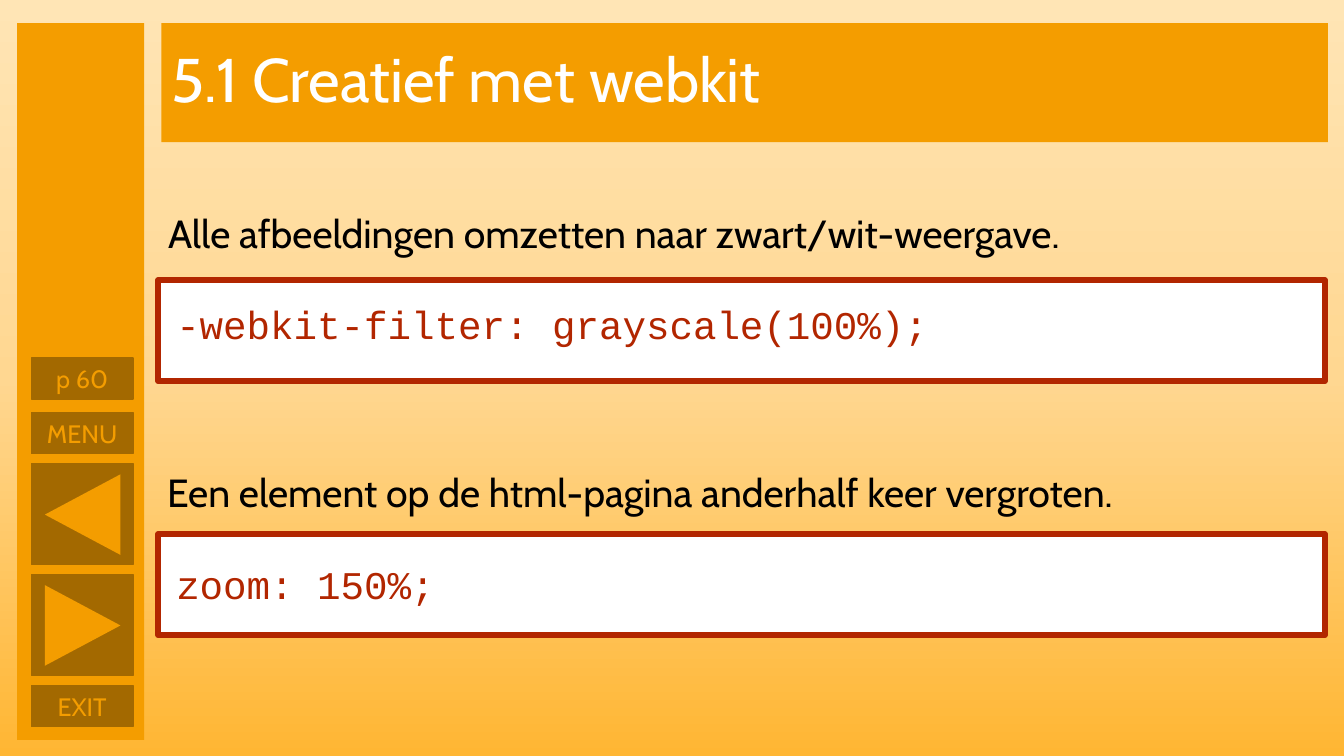
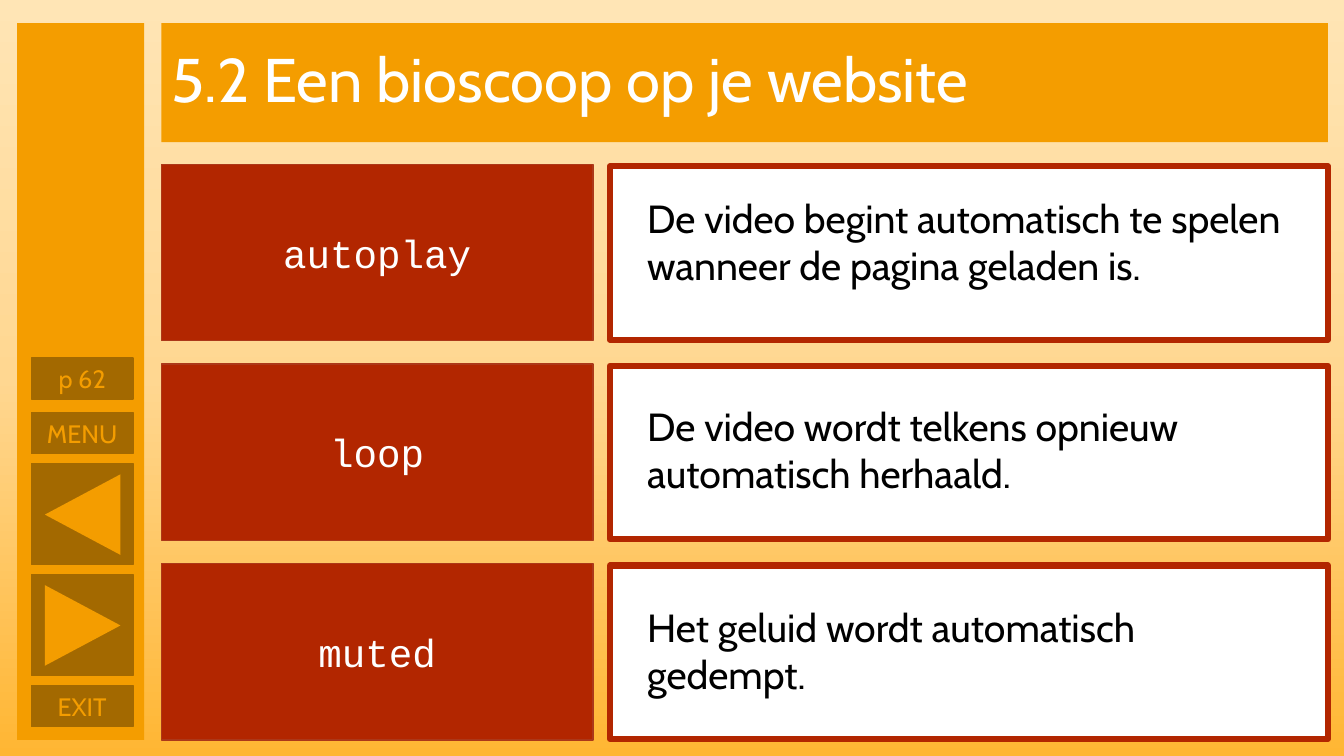
from copy import deepcopy

from pptx import Presentation
from pptx.dml.color import RGBColor
from pptx.enum.shapes import MSO_SHAPE
from pptx.enum.text import MSO_ANCHOR, MSO_AUTO_SIZE, PP_ALIGN
from pptx.util import Pt

RECTANGLE = MSO_SHAPE.RECTANGLE
TRIANGLE = MSO_SHAPE.ISOSCELES_TRIANGLE
MIDDLE = MSO_ANCHOR.MIDDLE
LEFT = PP_ALIGN.LEFT
CENTER = PP_ALIGN.CENTER
NO_FIT = MSO_AUTO_SIZE.NONE
GROW = MSO_AUTO_SIZE.SHAPE_TO_FIT_TEXT

EMU_PER_PX = 9144
TITLE_ONLY = 5
COLORS = {
    "orange": "F49D00",
    "brown": "A36900",
    "red": "B22600",
    "rust": "AC3819",
    "white": "FFFFFF",
    "black": "000000",
    "sky_top": "FFE5B5",
    "sky_middle": "FFD791",
    "sky_bottom": "FFB633",
}
SKY = [(0, "sky_top"), (0.5, "sky_middle"), (1, "sky_bottom")]
BODY_FONT = "Cabin"
CODE_FONT = "Courier New"


def px(*lengths):
    return [length * EMU_PER_PX for length in lengths]


def color(name):
    return RGBColor.from_string(COLORS[name])


class Deck:
    def __init__(self):
        self.prs = Presentation()
        self.prs.slide_width, self.prs.slide_height = px(1333, 750)
        self.slide = None
        self.paint_background()

    def paint_background(self):
        master = self.prs.slide_master
        fill = master.background.fill
        fill.gradient()
        fill.gradient_angle = 270
        stops = master.element.xpath(".//p:bg//a:gsLst")[0]
        stops.append(deepcopy(stops[-1]))
        for stop, (position, name) in zip(fill.gradient_stops, SKY):
            stop.position = position
            stop.color.rgb = color(name)

    def start_slide(self, title, page):
        self.slide = self.prs.slides.add_slide(self.prs.slide_layouts[TITLE_ONLY])
        self.title(title)
        self.sidebar(page)

    def set_text(self, frame, text, size, ink, font=BODY_FONT, align=LEFT):
        frame.word_wrap = True
        frame.text = text
        paragraph = frame.paragraphs[0]
        paragraph.alignment = align
        paragraph.font.size = Pt(size)
        paragraph.font.name = font
        paragraph.font.color.rgb = color(ink)
        return paragraph

    def title(self, text):
        heading = self.slide.shapes.title
        heading.left, heading.top, heading.width, heading.height = px(160, 23, 1157, 118)
        heading.fill.solid()
        heading.fill.fore_color.rgb = color("orange")
        heading.text_frame.auto_size = NO_FIT
        heading.text_frame.vertical_anchor = MIDDLE
        self.set_text(heading.text_frame, text, 44, "white").line_spacing = 0.9

    def shape(self, box, fill, line=None, weight=1, kind=RECTANGLE):
        shape = self.slide.shapes.add_shape(kind, *px(*box))
        shape.shadow.inherit = False
        shape.fill.solid()
        shape.fill.fore_color.rgb = color(fill)
        if line:
            shape.line.color.rgb = color(line)
            shape.line.width = Pt(weight)
        else:
            shape.line.fill.background()
        return shape

    def label(self, box, text, fill, line, size, ink, font=BODY_FONT):
        frame = self.shape(box, fill, line).text_frame
        frame.vertical_anchor = MIDDLE
        self.set_text(frame, text, size, ink, font, CENTER)

    def panel(self, box):
        self.shape(box, "white", "red", 4.5)

    def text(self, box, text, ink="black", font=BODY_FONT):
        frame = self.slide.shapes.add_textbox(*px(*box)).text_frame
        frame.auto_size = GROW
        self.set_text(frame, text, 28, ink, font)

    def sidebar(self, page):
        self.shape((17, 23, 126, 711), "orange")
        for top, text in ((355, page), (409, "MENU"), (680, "EXIT")):
            self.label((31, top, 101, 41), text, "brown", "brown", 18, "orange")
        for top, rotation in ((460, 270), (570, 90)):
            self.shape((31, top, 101, 100), "brown", "brown")
            arrow = self.shape((42, top + 13, 80, 75), "orange", kind=TRIANGLE)
            arrow.rotation = rotation

    def example(self, caption, caption_left, caption_top, code, code_top, panel_top):
        self.text((caption_left, caption_top, 1157, 57), caption)
        self.panel((157, panel_top, 1157, 100))
        self.text((165, code_top, 1168, 57), code, "red", CODE_FONT)

    def definition(self, top, term, meaning, meaning_top):
        self.label((160, top, 428, 175), term, "red", "rust", 28, "white", CODE_FONT)
        self.panel((605, top + 2, 712, 172))
        self.text((632, meaning_top, 658, 104), meaning)


def main():
    deck = Deck()

    deck.start_slide("5.1 Creatief met webkit", "p 60")
    deck.example("Alle afbeeldingen omzetten naar zwart/wit-weergave.", 157, 203,
                 "-webkit-filter: grayscale(100%);", 293, 278)
    deck.example("Een element op de html-pagina anderhalf keer vergroten.", 156, 460,
                 "zoom: 150%;", 551, 530)

    deck.start_slide("5.2 Een bioscoop op je website", "p 62")
    attributes = [
        ("autoplay", "De video begint automatisch te spelen wanneer de pagina geladen is.", 188),
        ("loop", "De video wordt telkens opnieuw automatisch herhaald.", 394),
        ("muted", "Het geluid wordt automatisch gedempt.", 594),
    ]
    for row, (term, meaning, meaning_top) in enumerate(attributes):
        deck.definition(163 + 198 * row, term, meaning, meaning_top)

    deck.prs.save("out.pptx")


if __name__ == "__main__":
    main()
